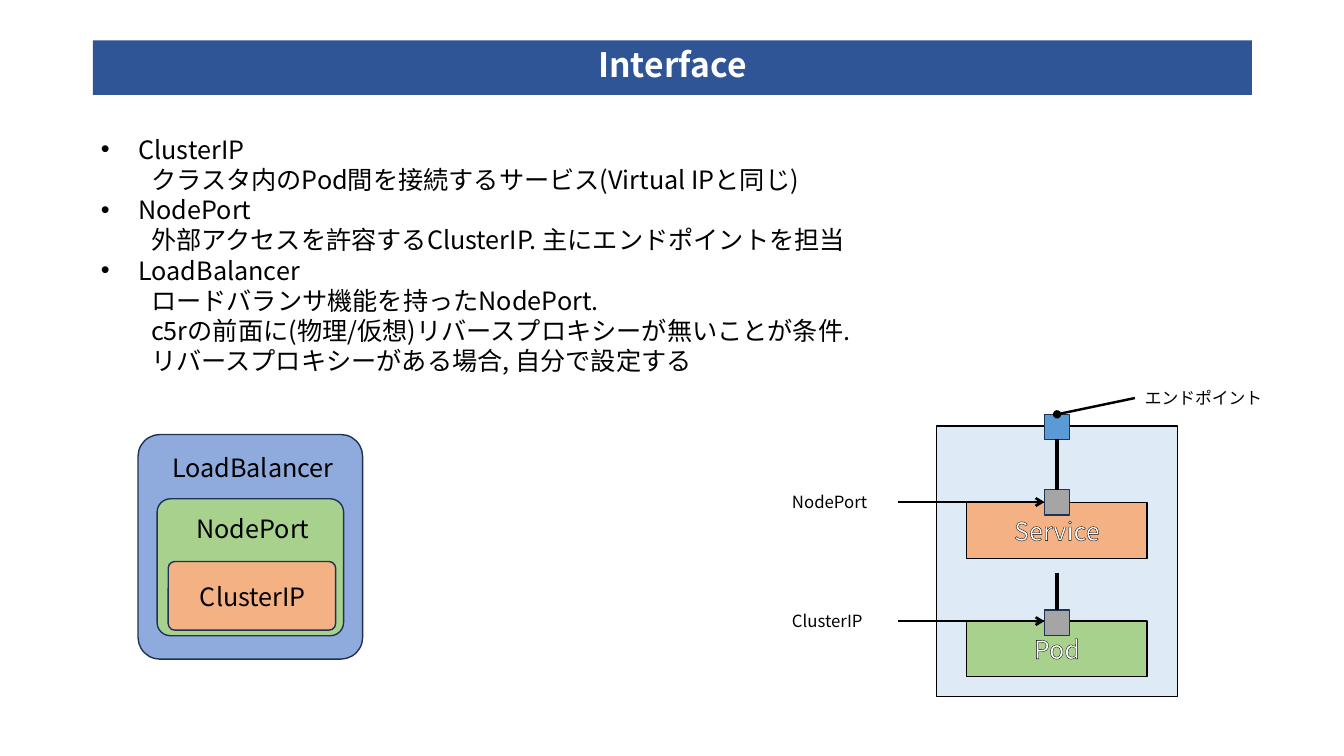
from lxml import etree
from pptx import Presentation
from pptx import util as u
from pptx.dml.color import RGBColor
from pptx.enum import shapes, text
from pptx.oxml import ns

WHITE = RGBColor(0xFF, 0xFF, 0xFF)
BLACK = RGBColor(0x00, 0x00, 0x00)
NAVY = RGBColor(0x2F, 0x55, 0x97)
EDGE = RGBColor(0x1E, 0x32, 0x56)
PALE = RGBColor(0xDE, 0xEB, 0xF7)
PERI = RGBColor(0x8F, 0xAA, 0xDC)
BLUE = RGBColor(0x5B, 0x9B, 0xD5)
GREEN = RGBColor(0xA9, 0xD1, 0x8E)
PEACH = RGBColor(0xF4, 0xB1, 0x83)
GREY = RGBColor(0xA5, 0xA5, 0xA5)

RECT = shapes.MSO_SHAPE.RECTANGLE
ROUND = shapes.MSO_SHAPE.ROUNDED_RECTANGLE
LEFT, CENTER = text.PP_ALIGN.LEFT, text.PP_ALIGN.CENTER


class Board:
    face = "Noto Sans CJK JP"

    def __init__(self, deck):
        self.slide = deck.slides.add_slide(deck.slide_layouts[5])
        self.items = self.slide.shapes

    def style(self, para, size, color=BLACK, align=LEFT, bold=False, pitch=1.2):
        para.alignment = align
        para.line_spacing = u.Pt(size * pitch)
        font = para.font
        font.name, font.size, font.bold = self.face, u.Pt(size), bold
        font.color.rgb = color
        latin = font._element.find(ns.qn("a:latin"))
        east = etree.Element(ns.qn("a:ea"), typeface=self.face)
        latin.addnext(east)

    def title(self, words, x, y, w, h):
        head = self.items.title
        head.left, head.top, head.width, head.height = map(u.Cm, (x, y, w, h))
        head.fill.solid()
        head.fill.fore_color.rgb = NAVY
        frame = head.text_frame
        frame.text = words
        frame.auto_size = text.MSO_AUTO_SIZE.NONE
        frame.vertical_anchor = text.MSO_ANCHOR.MIDDLE
        self.style(frame.paragraphs[0], 24, WHITE, CENTER, True, 1.0)

    def box(self, x, y, w, h, fill, edge=EDGE, kind=RECT, words=""):
        box = self.items.add_shape(kind, *map(u.Cm, (x, y, w, h)))
        box.shadow.inherit = False
        box.fill.solid()
        box.fill.fore_color.rgb = fill
        box.line.color.rgb = edge
        box.line.width = u.Pt(1)
        if kind == ROUND:
            box.adjustments[0] = 0.097
        if words:
            frame = box.text_frame
            frame.text = words
            frame.vertical_anchor = text.MSO_ANCHOR.MIDDLE
            para = frame.paragraphs[0]
            self.style(para, 18, WHITE, CENTER)
            # Thin black outline around the letters
            props = para.runs[0]._r.get_or_add_rPr()
            rim = etree.SubElement(props, ns.qn("a:ln"), w="9525")
            ink = etree.SubElement(rim, ns.qn("a:solidFill"))
            etree.SubElement(ink, ns.qn("a:srgbClr"), val=str(BLACK))

    def label(self, words, x, y, w, h, size, align=LEFT, wrap=False):
        frame = self.items.add_textbox(*map(u.Cm, (x, y, w, h))).text_frame
        frame.word_wrap = wrap
        frame.text = words
        self.style(frame.paragraphs[0], size, align=align)

    def bullets(self, rows, x, y, w, h):
        frame = self.items.add_textbox(*map(u.Cm, (x, y, w, h))).text_frame
        frame.word_wrap = True
        frame.text = "\n".join(words for level, words in rows)
        for para, (level, words) in zip(frame.paragraphs, rows):
            para.level = level
            props = para._p.get_or_add_pPr()
            props.set("marL", str(u.Cm(1.27 if level else 0.95)))
            props.set("indent", str(0 if level else -u.Cm(0.95)))
            if not level:
                etree.SubElement(props, ns.qn("a:buFont"), typeface="Arial")
                etree.SubElement(props, ns.qn("a:buChar"), char="•")
            self.style(para, 18)

    def line(self, x1, y1, x2, y2, width, tip=None):
        line = self.items.add_connector(
            shapes.MSO_CONNECTOR.STRAIGHT, *map(u.Cm, (x1, y1, x2, y2)))
        line.line.color.rgb = BLACK
        line.line.width = u.Pt(width)
        if tip:
            etree.SubElement(line.line._get_or_add_ln(), ns.qn("a:tailEnd"), type=tip)
        etree.SubElement(line._element.spPr, ns.qn("a:effectLst"))


def main():
    deck = Presentation()
    deck.slide_width, deck.slide_height = u.Cm(33.87), u.Cm(19.05)
    board = Board(deck)
    board.title("Interface", 2.34, 1.02, 29.21, 1.37)

    # Service types explained
    board.bullets([
        (0, "ClusterIP"),
        (1, "クラスタ内のPod間を接続するサービス(Virtual IPと同じ)"),
        (0, "NodePort"),
        (1, "外部アクセスを許容するClusterIP. 主にエンドポイントを担当"),
        (0, "LoadBalancer"),
        (1, "ロードバランサ機能を持ったNodePort."),
        (1, "c5rの前面に(物理/仮想)リバースプロキシーが無いことが条件."),
        (1, "リバースプロキシーがある場合, 自分で設定する"),
    ], 2.29, 3.25, 19.81, 6.4)

    # Nested service types
    for words, x, y, w, h, fill, top in (
            ("LoadBalancer", 3.48, 10.95, 5.66, 5.66, PERI, 11.28),
            ("NodePort", 3.96, 12.57, 4.7, 3.45, GREEN, 12.8),
            ("ClusterIP", 4.24, 14.15, 4.22, 1.73, PEACH, 14.53)):
        board.box(x, y, w, h, fill, kind=ROUND)
        board.label(words, 3.96, top, 4.83, 1.02, 18, CENTER, True)

    # Node with its service and pod
    axis, port = 26.64, 0.64
    edge = axis - port / 2
    board.box(23.6, 10.74, 6.07, 6.81, PALE, BLACK)
    for words, y, fill in (("Service", 12.67, PEACH), ("Pod", 15.65, GREEN)):
        board.box(24.36, y, 4.55, 1.4, fill, BLACK, words=words)

    # Ports and the links between them
    for y, fill in ((10.44, BLUE), (12.34, GREY), (15.37, GREY)):
        board.box(edge, y, port, port, fill)
    for top, end in ((11.07, 12.34), (14.43, 15.37)):
        board.line(axis, top, axis, end, 2.5)

    # Callouts
    board.label("エンドポイント", 28.6, 9.65, 3.51, 0.76, 12)
    board.line(28.6, 10.03, axis, 10.44, 1.75, "oval")
    for words, y in (("NodePort", 12.65), ("ClusterIP", 15.65)):
        board.label(words, 19.71, y - 0.39, 2.54, 0.76, 12)
        board.line(22.63, y, edge, y, 1.75, "arrow")

    deck.save("out.pptx")


if __name__ == "__main__":
    main()
